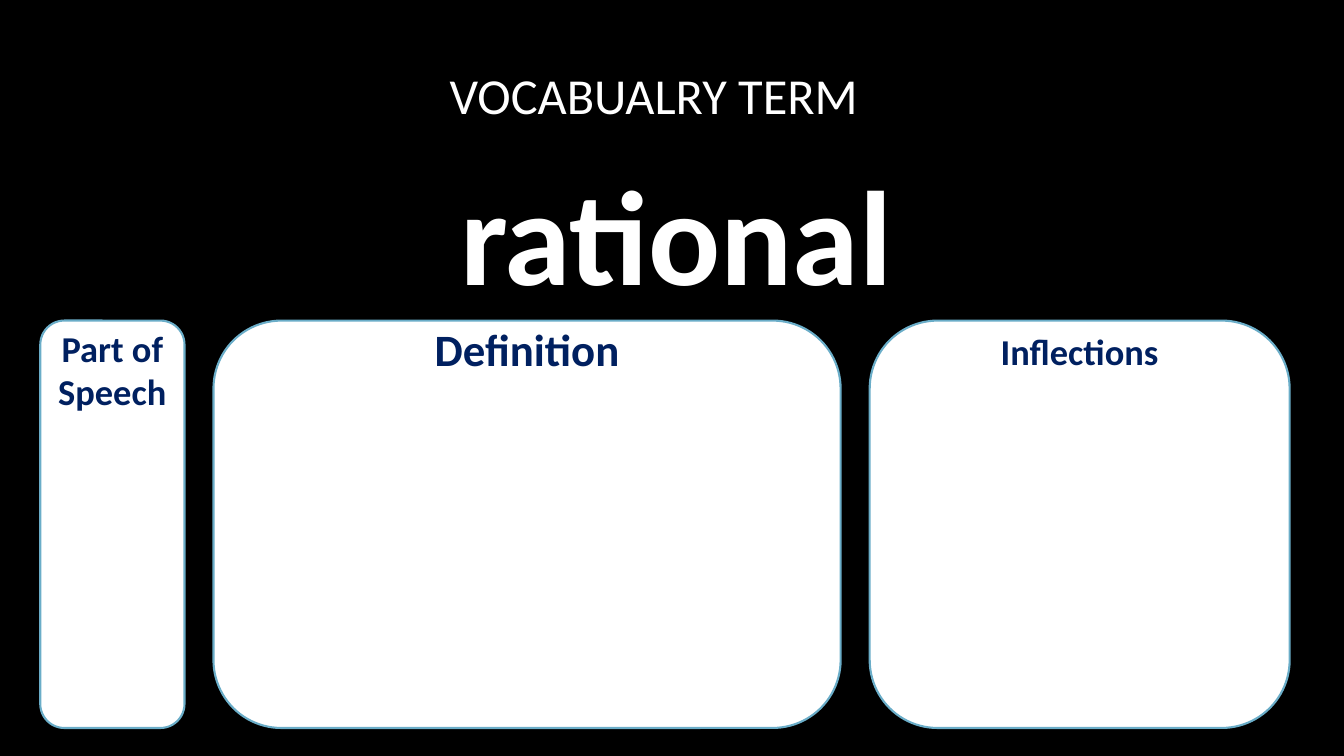
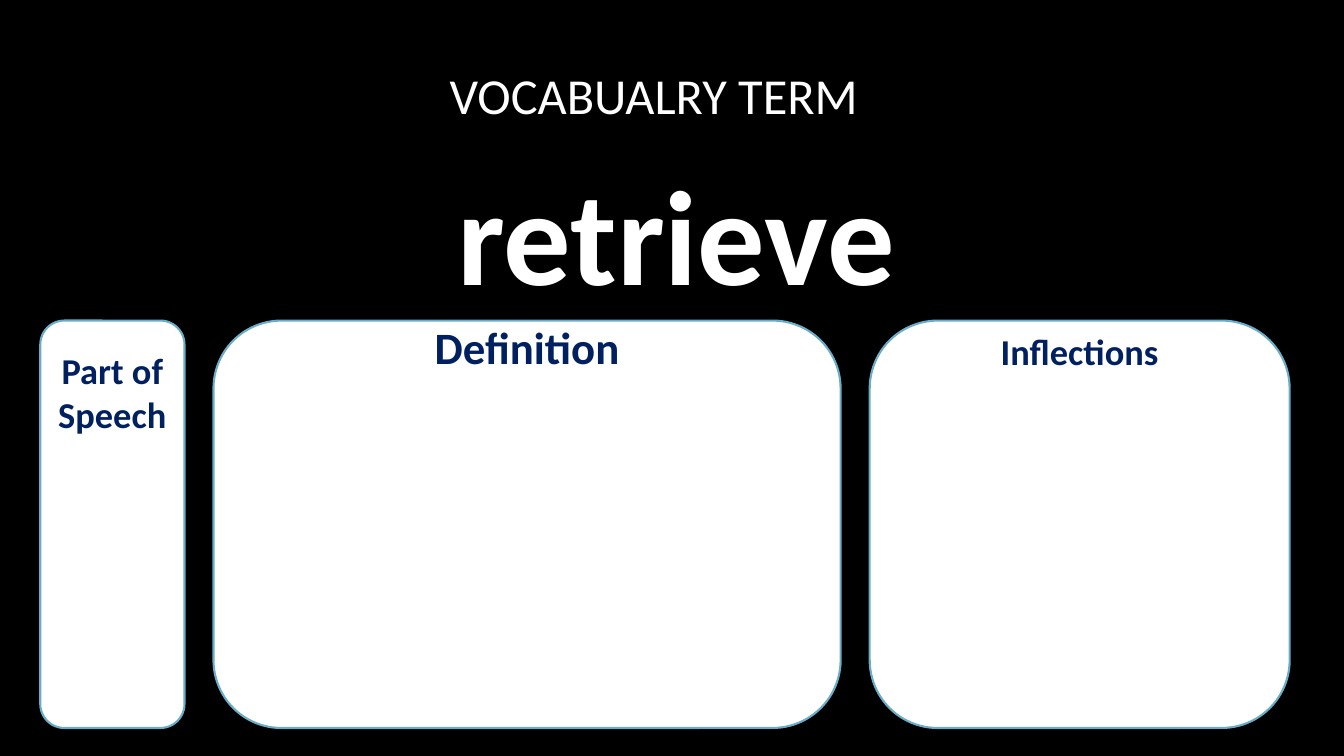
from pptx import Presentation
from pptx.dml.color import RGBColor
from pptx.enum.shapes import MSO_SHAPE
from pptx.enum.text import MSO_ANCHOR, PP_ALIGN
from pptx.oxml.ns import qn
from pptx.util import Pt

BLACK = RGBColor(0x00, 0x00, 0x00)
WHITE = RGBColor(0xFF, 0xFF, 0xFF)
NAVY = RGBColor(0x00, 0x20, 0x60)
SKY_BLUE = RGBColor(0x6A, 0xAD, 0xC8)
FONT = "Calibri"

HEADER_LEFT, HEADER_WIDTH = 84.2, 797.8
CARD_LEFT, CARD_TOP, CARD_HEIGHT, CARD_GAP = 28.8, 229, 291, 20.7
CARDS = [
    ("Part of Speech", 103, 26),
    ("Definition", 448, 32),
    ("Inflections", 300, 26),
]
WORDS = [
    ("rational", (35, 20, 22)),
    ("retrieve", (51, 18.6, 22)),
]


def write_text(shape, text, size, color, bold):
    frame = shape.text_frame
    frame.word_wrap = True
    frame.vertical_anchor = MSO_ANCHOR.MIDDLE
    paragraph = frame.paragraphs[0]
    paragraph.alignment = PP_ALIGN.CENTER
    paragraph.space_before = Pt(0)
    run = paragraph.add_run()
    run.text = text
    run.font.name = FONT
    run.font.size = Pt(size)
    run.font.bold = bold
    run.font.color.rgb = color
    return paragraph


def place(shape, top, height):
    shape.left, shape.top = Pt(HEADER_LEFT), Pt(top)
    shape.width, shape.height = Pt(HEADER_WIDTH), Pt(height)


def remove_bullet(paragraph):
    properties = paragraph._p.get_or_add_pPr()
    properties.set("marL", "0")
    properties.set("indent", "0")
    properties.append(properties.makeelement(qn("a:buNone"), {}))


def add_header(slide, word):
    title, body = slide.shapes.title, slide.placeholders[1]
    place(title, 33, 69)
    write_text(title, "VOCABUALRY TERM\t", 36, WHITE, False)
    place(body, 102, 127)
    paragraph = write_text(body, word, 96, WHITE, True)
    paragraph.space_after = Pt(10)
    remove_bullet(paragraph)


def add_card(slide, left, width, heading, size, heading_center):
    card = slide.shapes.add_shape(
        MSO_SHAPE.ROUNDED_RECTANGLE, Pt(left), Pt(CARD_TOP), Pt(width), Pt(CARD_HEIGHT)
    )
    card.shadow.inherit = False
    card.fill.solid()
    card.fill.fore_color.rgb = WHITE
    card.line.color.rgb = SKY_BLUE
    card.line.width = Pt(1.5)
    write_text(card, heading, size, NAVY, True)
    card.text_frame.margin_top = Pt(0)
    card.text_frame.margin_bottom = Pt(CARD_HEIGHT - 2 * heading_center)


def add_word_slide(presentation, word, heading_centers):
    slide = presentation.slides.add_slide(presentation.slide_layouts[1])
    slide.background.fill.solid()
    slide.background.fill.fore_color.rgb = BLACK
    add_header(slide, word)
    left = CARD_LEFT
    for (heading, width, size), center in zip(CARDS, heading_centers):
        add_card(slide, left, width, heading, size, center)
        left += width + CARD_GAP


def main():
    presentation = Presentation()
    presentation.slide_width, presentation.slide_height = Pt(960), Pt(540)
    for word, heading_centers in WORDS:
        add_word_slide(presentation, word, heading_centers)
    presentation.save("out.pptx")


if __name__ == "__main__":
    main()
